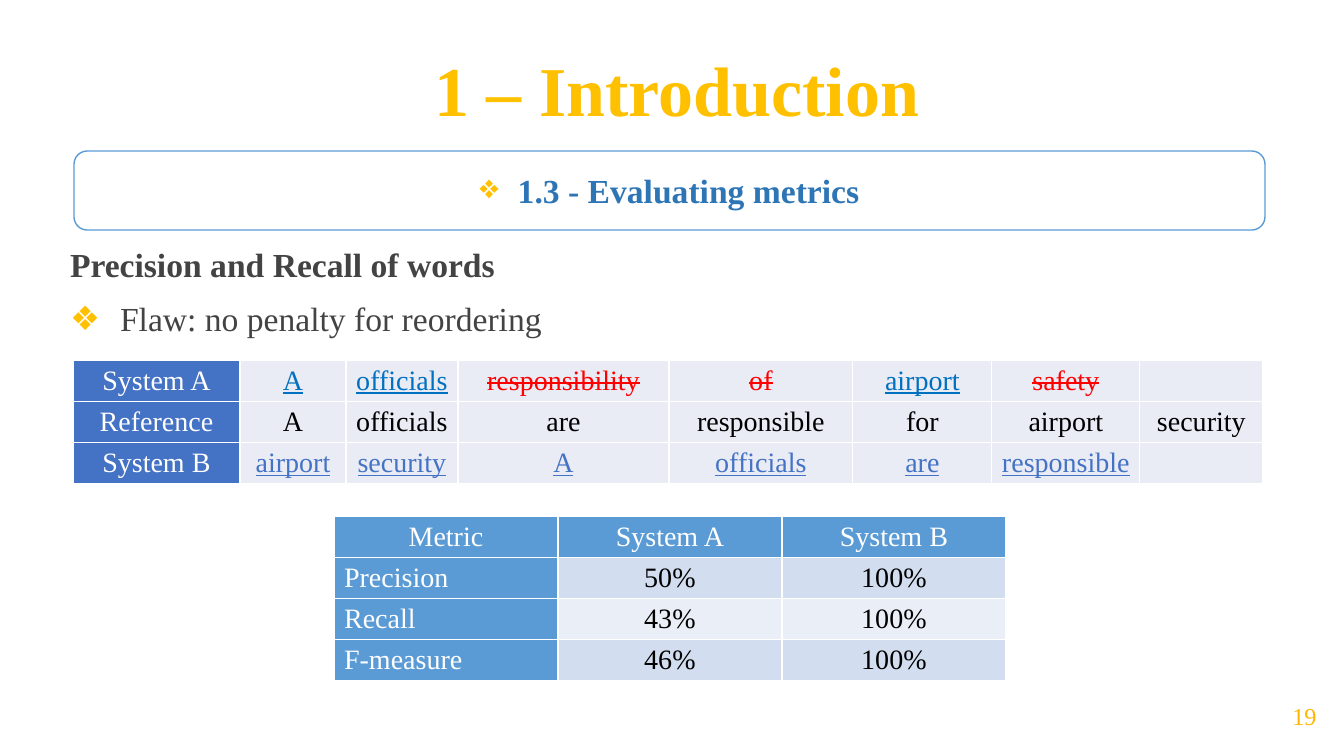
from dataclasses import dataclass

from lxml import etree
from pptx import Presentation
from pptx import util as u
from pptx.dml.color import RGBColor
from pptx.enum import shapes, text
from pptx.oxml import ns

CENTER, LEFT = text.PP_ALIGN.CENTER, text.PP_ALIGN.LEFT


@dataclass(frozen=True)
class Theme:
    font: str = "Times New Roman"
    # Type sizes in points
    title: float = 50
    body: float = 24
    cell: float = 20
    page: float = 17.3
    # Colours
    gold: str = "FFC000"
    page_gold: str = "FFB600"
    white: str = "FFFFFF"
    black: str = "000000"
    grey: str = "434343"
    sky: str = "5B9BD5"
    heading: str = "2E75B6"
    royal: str = "4472C4"
    match: str = "0070C0"
    wrong: str = "FF0000"
    pale: str = "E9EBF5"
    band_dark: str = "D2DEEF"
    band_light: str = "EAEFF7"


def px(n):
    return u.Emu(round(n * 914400 / 100.8))


def rgb(code):
    return RGBColor.from_string(code)


def child(parent, tag, **attrs):
    return etree.SubElement(parent, ns.qn(tag), attrs)


class Deck:
    def __init__(self, theme):
        self.t = theme
        self.prs = Presentation()
        self.prs.slide_width, self.prs.slide_height = px(1344), px(756)
        self.s = self.prs.slides.add_slide(self.prs.slide_layouts[1])

    def place(self, sp, box):
        for name, n in zip(("left", "top", "width", "height"), box):
            setattr(sp, name, px(n))

    def frame(self, tf, anchor, inset):
        fmt = dict(word_wrap=True, auto_size=text.MSO_AUTO_SIZE.NONE,
                   vertical_anchor=anchor, margin_left=px(10), margin_right=px(10),
                   margin_top=px(inset), margin_bottom=px(inset))
        for name, value in fmt.items():
            setattr(tf, name, value)

    def put_text(self, p, words, size, color, align=LEFT, before=0, indent=(0, 0),
                 bullet=False, strike=False, **font):
        pPr = p._p.get_or_add_pPr()
        pPr.set("marL", str(px(indent[0])))
        pPr.set("indent", str(px(indent[1])))
        if bullet:
            child(child(pPr, "a:buClr"), "a:srgbClr", val=self.t.gold)
            child(pPr, "a:buChar", char="❖")
        else:
            child(pPr, "a:buNone")
        p.alignment, p.space_before = align, u.Pt(before)
        r = p.add_run()
        r.text = words
        fmt = dict(name=self.t.font, size=u.Pt(size), bold=False) | font
        for name, value in fmt.items():
            setattr(r.font, name, value)
        r.font.color.rgb = rgb(color)
        if strike:
            r._r.get_or_add_rPr().set("strike", "sngStrike")

    def title(self, words, box):
        sp = self.s.shapes.title
        self.place(sp, box)
        self.frame(sp.text_frame, text.MSO_ANCHOR.MIDDLE, 10)
        self.put_text(sp.text_frame.paragraphs[0], words, self.t.title, self.t.gold,
                      CENTER, indent=(6, 0), bold=True)

    def body(self, heading, points, box):
        sp = self.s.placeholders[1]
        self.place(sp, box)
        tf = sp.text_frame
        self.frame(tf, text.MSO_ANCHOR.TOP, 10)
        self.put_text(tf.paragraphs[0], heading, self.t.body, self.t.grey,
                      indent=(6, 0), bold=True)
        for point in points:
            self.put_text(tf.add_paragraph(), point, self.t.body, self.t.grey,
                          before=10, indent=(56, -50), bullet=True)

    def banner(self, words, box):
        sp = self.s.shapes.add_shape(shapes.MSO_SHAPE.ROUNDED_RECTANGLE, *map(px, box))
        sp.shadow.inherit = False
        sp.fill.solid()
        sp.fill.fore_color.rgb = rgb(self.t.white)
        sp.line.color.rgb, sp.line.width = rgb(self.t.sky), u.Pt(1)
        self.frame(sp.text_frame, text.MSO_ANCHOR.MIDDLE, 5)
        self.put_text(sp.text_frame.paragraphs[0], words, self.t.body, self.t.heading,
                      CENTER, indent=(38, -38), bullet=True, bold=True)

    def page_number(self, words, box):
        sp = self.s.shapes.add_textbox(*map(px, box))
        self.frame(sp.text_frame, text.MSO_ANCHOR.MIDDLE, 10)
        self.put_text(sp.text_frame.paragraphs[0], words, self.t.page,
                      self.t.page_gold, CENTER)

    def table(self, rows, left, top, widths, row_height, style):
        """style(row, column, words) gives the fill and the text format of a cell."""
        box = left, top, sum(widths), row_height * len(rows)
        tbl = self.s.shapes.add_table(len(rows), len(widths), *map(px, box)).table
        tbl.first_row = tbl.horz_banding = False
        for col, width in zip(tbl.columns, widths):
            col.width = px(width)
        for i, row in enumerate(rows):
            tbl.rows[i].height = px(row_height)
            for j, words in enumerate(row):
                cell = tbl.cell(i, j)
                fill, fmt = style(i, j, words)
                self.borders(cell)
                cell.fill.solid()
                cell.fill.fore_color.rgb = rgb(fill)
                if words:
                    self.put_text(cell.text_frame.paragraphs[0], words,
                                  self.t.cell, **fmt)

    def borders(self, cell):
        tcPr = cell._tc.get_or_add_tcPr()
        for side in "LRTB":
            ln = child(tcPr, f"a:ln{side}", w=str(u.Pt(1)))
            child(child(ln, "a:solidFill"), "a:srgbClr", val=self.t.white)


def main():
    t = Theme()
    deck = Deck(t)

    # Headings and list
    deck.title("1 – Introduction", (71, 44, 1206, 90))
    deck.body("Precision and Recall of words", ["Flaw: no penalty for reordering"],
              (54, 234, 1222, 120))
    deck.banner("1.3 - Evaluating metrics", (74, 151, 1191, 79))

    # Word alignment of both systems with the reference
    words = [
        ["System A", "A", "officials", "responsibility", "of", "airport", "safety", ""],
        ["Reference", "A", "officials", "are", "responsible", "for", "airport", "security"],
        ["System B", "airport", "security", "A", "officials", "are", "responsible", ""],
    ]
    reference = words[1]
    match_colors = {0: t.match, 2: t.royal}

    def word_style(i, j, word):
        if j == 0:
            return t.royal, dict(color=t.white, align=CENTER)
        if i not in match_colors:
            return t.pale, dict(color=t.black, align=CENTER)
        if word in reference:
            return t.pale, dict(color=match_colors[i], align=CENTER, underline=True)
        return t.pale, dict(color=t.wrong, align=CENTER, strike=True)

    deck.table(words, 73, 360, [167, 106, 112, 211, 184, 139, 148, 123], 41, word_style)

    # Scores
    scores = [
        ["Metric", "System A", "System B"],
        ["Precision", "50%", "100%"],
        ["Recall", "43%", "100%"],
        ["F-measure", "46%", "100%"],
    ]

    def score_style(i, j, word):
        if i == 0 or j == 0:
            return t.sky, dict(color=t.white, align=LEFT if i else CENTER)
        band = t.band_dark if i % 2 else t.band_light
        return band, dict(color=t.black, align=CENTER)

    deck.table(scores, 334, 516, [224] * 3, 41, score_style)

    # Page number
    deck.page_number("19", (1265, 675, 79, 81))
    deck.prs.save("out.pptx")


if __name__ == "__main__":
    main()
